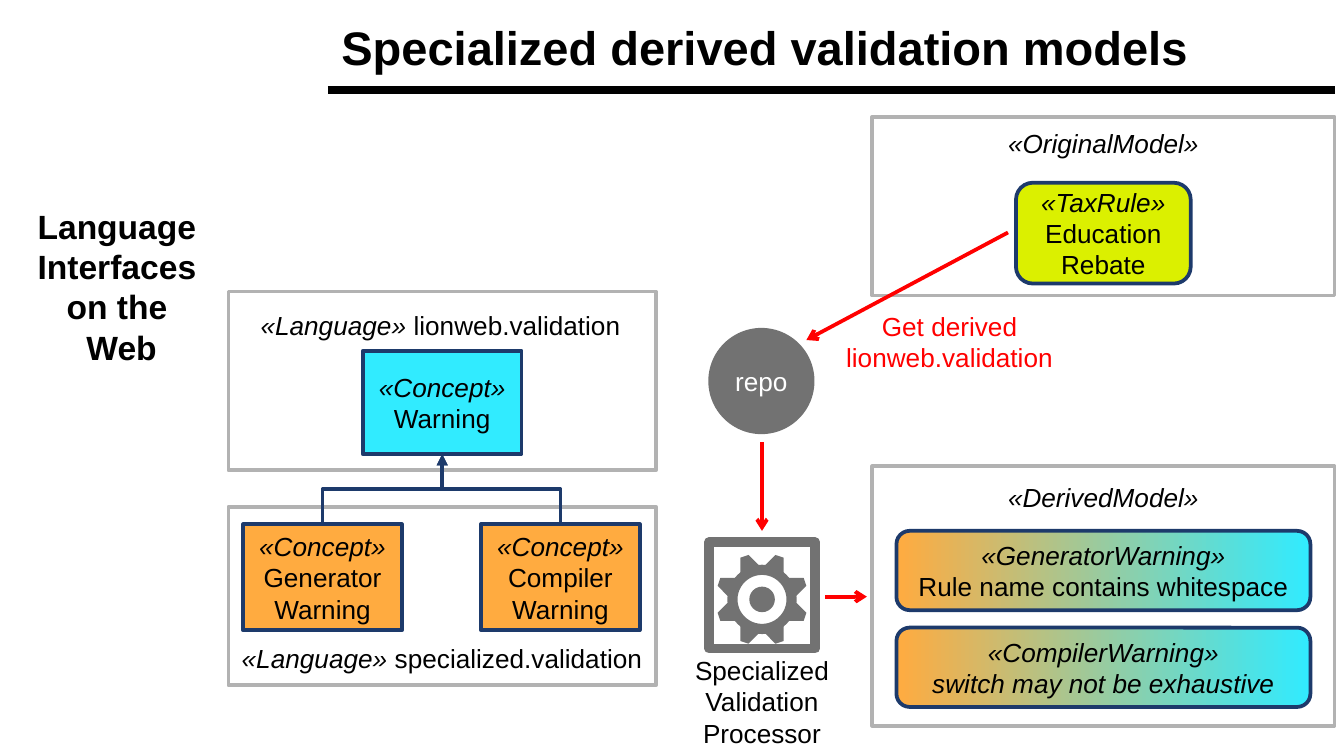
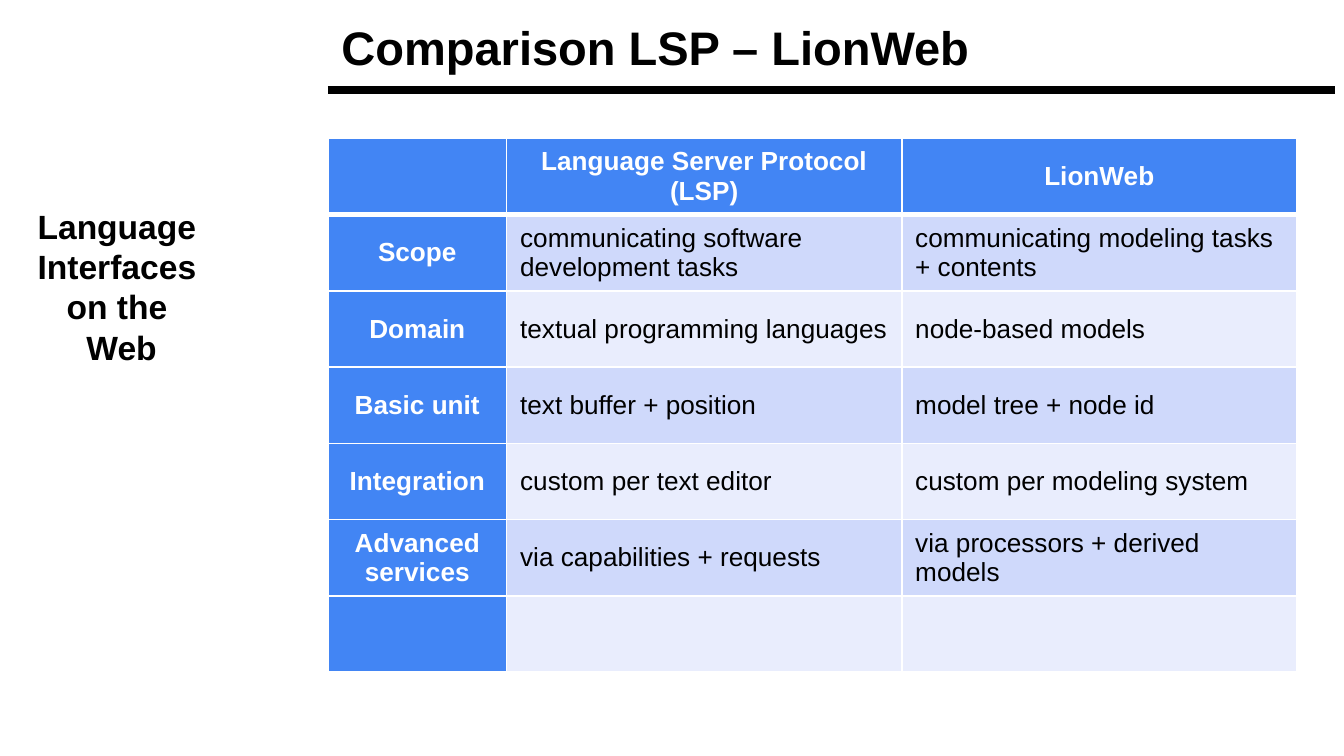
import itertools
import pptx
import pptx.util
import pptx.dml.color
import pptx.enum.shapes
import pptx.enum.text
import pptx.oxml
import pptx.oxml.ns
import lxml.etree

Inches, Pt, qn = pptx.util.Inches, pptx.util.Pt, pptx.oxml.ns.qn
SHAPE = pptx.enum.shapes.MSO_SHAPE
CONNECTOR = pptx.enum.shapes.MSO_CONNECTOR
ALIGN = pptx.enum.text.PP_ALIGN
ANCHOR = pptx.enum.text.MSO_ANCHOR

# Shared look
W, H = 10, 5.625
FONT = "Arial"
BLACK, WHITE, RED, GRAY = "000000", "FFFFFF", "FF0000", "727272"
FRAME, NAVY = "B2B2B2", "1D3A6B"
CYAN, ORANGE, LIME = "31EBFF", "FFAB40", "DBF000"
HEAD, BANDS = "4285F4", ("CFD9FB", "E9EDFD")
LEFT, RIGHT, RULE_Y = 2.44, 9.93, 0.67
SIDE_LABEL = ["Language ", "Interfaces ", "on the ", "Web"]

# Slide 1 content; text between asterisks is italic
TITLE_MODELS = "Specialized derived validation models"
FRAMES = [  # left, top, width, height
    (1.7, 2.17, 3.18, 1.33), (1.7, 3.77, 3.18, 1.33),
    (6.49, 3.47, 3.44, 1.93), (6.49, 0.87, 3.44, 1.33),
]
LABELS = [  # left, top, width, height, paragraphs, colour, alignment
    (1.84, 2.25, 2.89, 0.34, ["*«Language» *lionweb.validation"], BLACK, ALIGN.LEFT),
    (1.7, 4.73, 3.19, 0.34, ["*«Language» *specialized.validation"], BLACK, ALIGN.LEFT),
    (6.49, 3.53, 3.44, 0.34, ["*«DerivedModel»*"], BLACK, ALIGN.CENTER),
    (6.49, 0.9, 3.44, 0.34, ["*«OriginalModel»*"], BLACK, ALIGN.CENTER),
    (6.19, 2.26, 1.75, 0.57, ["Get derived", "lionweb.validation"], RED, ALIGN.CENTER),
    (5.07, 4.82, 1.2, 0.8, ["Specialized", "Validation", "Processor"], BLACK, ALIGN.CENTER),
]
RECT, ROUND = SHAPE.RECTANGLE, SHAPE.ROUNDED_RECTANGLE
PARENT = (2.7, 2.61, 1.18, 0.77)
CHILDREN = [(x, 3.9, 1.18, 0.79) for x in (1.81, 3.58)]
WARNINGS = [(6.67, y, 3.08, 0.59) for y in (3.95, 4.67)]
NODES = [  # shape, box, fill (a pair is a gradient), paragraphs
    (RECT, PARENT, CYAN, ["*«Concept»*", "Warning"]),
    (RECT, CHILDREN[0], ORANGE, ["*«Concept»*", "Generator Warning"]),
    (RECT, CHILDREN[1], ORANGE, ["*«Concept»*", "Compiler Warning"]),
    (ROUND, WARNINGS[0], (ORANGE, CYAN),
     ["*«GeneratorWarning»*", "Rule name contains whitespace"]),
    (ROUND, WARNINGS[1], (ORANGE, CYAN),
     ["*«CompilerWarning»*", "*switch may not be exhaustive*"]),
    (ROUND, (7.56, 1.36, 1.3, 0.75), LIME, ["*«TaxRule»*", "Education Rebate"]),
]
REPO = (5.27, 2.44, 0.79, 0.79)
FLOWS = [(7.5, 1.73, 6, 2.53), (5.67, 3.29, 5.67, 3.95), (6.14, 4.44, 6.45, 4.44)]
GEAR = (5.67, 4.46)
TOOTH = [(0.16, 0.31), (0.10, 0.33), (0.02, 0.25), (0.16, 0.19)]

# Slide 2 content
TITLE_TABLE = "Comparison LSP – LionWeb"
COLS, ROW_H = (1.33, 2.94, 2.94), 0.567
ROWS = [
    ("", "Language Server Protocol (LSP)", "LionWeb"),
    ("Scope", "communicating software development tasks",
     "communicating modeling tasks + contents"),
    ("Domain", "textual programming languages", "node-based models"),
    ("Basic unit", "text buffer + position", "model tree + node id"),
    ("Integration", "custom per text editor", "custom per modeling system"),
    ("Advanced services", "via capabilities + requests", "via processors + derived models"),
    ("", "", ""),
]


def rgb(value):
    return pptx.dml.color.RGBColor.from_string(value)


def inches(*values):
    return [Inches(v) for v in values]


def write(tf, paragraphs, size=14, color=BLACK, bold=False, align=ALIGN.CENTER, **frame):
    for name, value in frame.items():
        setattr(tf, name, value)
    for i, text in enumerate(paragraphs):
        p = tf.paragraphs[0] if i == 0 else tf.add_paragraph()
        p.alignment, p.line_spacing = align, 1.0
        for k, part in enumerate(text.split("*")):
            if not part:
                continue
            r = p.add_run()
            r.text = part
            look = {"name": FONT, "size": Pt(size), "bold": bold, "italic": k % 2 == 1}
            for name, value in look.items():
                setattr(r.font, name, value)
            r.font.color.rgb = rgb(color)


def margins(value):
    return {f"margin_{side}": Inches(value) for side in ("left", "top", "right", "bottom")}


def paint(sp, fill=None, line=None, width=2):
    sp.shadow.inherit = False
    if fill is None:
        sp.fill.background()
    elif isinstance(fill, tuple):
        sp.fill.gradient()
        sp.fill.gradient_angle = 0
        for stop, color in zip(sp.fill.gradient_stops, fill):
            stop.color.rgb = rgb(color)
    else:
        sp.fill.solid()
        sp.fill.fore_color.rgb = rgb(fill)
    if line is None:
        sp.line.fill.background()
    else:
        sp.line.color.rgb = rgb(line)
        sp.line.width = Pt(width)
    return sp


def add_box(shapes, kind, box, **look):
    return paint(shapes.add_shape(kind, *inches(*box)), **look)


def add_label(slide, box, paragraphs, wrap=False, **look):
    sp = slide.shapes.add_textbox(*inches(*box))
    write(sp.text_frame, paragraphs, word_wrap=wrap, **look)


def add_line(slide, ends, color, width=2, head=None, kind=CONNECTOR.STRAIGHT):
    c = slide.shapes.add_connector(kind, *inches(*ends))
    c.line.color.rgb = rgb(color)
    c.line.width = Pt(width)
    sp_pr = c._element.spPr
    if head:
        lxml.etree.SubElement(sp_pr.find(qn("a:ln")), qn("a:tailEnd"), type=head)
    lxml.etree.SubElement(sp_pr, qn("a:effectLst"))
    return c


def add_riser(slide, start, end):
    """Elbow that leaves and arrives vertically: a turned horizontal elbow."""
    (x1, y1), (x2, y2) = start, end
    cx, cy = (x1 + x2) / 2, (y1 + y2) / 2
    half_w, half_h = (y1 - y2) / 2, abs(x2 - x1) / 2
    side = 1 if x1 < x2 else -1
    c = add_line(slide, (cx + side * half_w, cy + half_h, cx - side * half_w, cy - half_h),
                 NAVY, head="triangle", kind=CONNECTOR.ELBOW)
    turn = 90 if side == 1 else 270
    c._element.spPr.find(qn("a:xfrm")).set("rot", str(turn * 60000))


def add_gear(slide):
    shapes = slide.shapes.add_group_shape().shapes
    cx, cy = GEAR

    def centred(kind, size, dy=0, **look):
        add_box(shapes, kind, (cx - size / 2, cy + dy - size / 2, size, size), **look)

    centred(RECT, 0.79, dy=-0.03, fill=WHITE, line=GRAY, width=5.25)
    centred(SHAPE.OVAL, 0.44, line=GRAY, width=5.44)
    centred(SHAPE.OVAL, 0.19, fill=GRAY)
    # One tooth mirrored over both axes and the diagonal
    for sx, sy, swap in itertools.product((-1, 1), (-1, 1), (False, True)):
        turned = [(y, x) if swap else (x, y) for x, y in TOOTH]
        points = [inches(cx + sx * x, cy + sy * y) for x, y in turned]
        fb = shapes.build_freeform(*points[0], scale=1.0)
        fb.add_line_segments(points[1:], close=True)
        paint(fb.convert_to_shape(), fill=GRAY)


def add_slide(title):
    slide = prs.slides.add_slide(prs.slide_layouts[5])
    add_line(slide, (LEFT, RULE_Y, RIGHT, RULE_Y), BLACK, 4)
    add_label(slide, (0.17, 1.43, 1.47, 1.41), SIDE_LABEL, wrap=True, size=18, bold=True,
              **margins(0.1))
    sp = slide.shapes.title
    sp.left, sp.top, sp.width, sp.height = inches(LEFT, 0.03, 7.48, 0.63)
    write(sp.text_frame, [title], size=25.2, bold=True, align=ALIGN.LEFT,
          word_wrap=True, auto_size=pptx.enum.text.MSO_AUTO_SIZE.NONE,
          vertical_anchor=ANCHOR.MIDDLE, **margins(0.1))
    return slide


def border(cell, bottom):
    tc_pr = cell._tc.get_or_add_tcPr()
    for side, width in (("L", 1), ("R", 1), ("T", 1), ("B", bottom)):
        ln = lxml.etree.SubElement(tc_pr, qn(f"a:ln{side}"), w=str(Pt(width)))
        solid = lxml.etree.SubElement(ln, qn("a:solidFill"))
        lxml.etree.SubElement(solid, qn("a:srgbClr"), val=WHITE)


prs = pptx.Presentation()
prs.slide_width, prs.slide_height = inches(W, H)

# Slide 1: languages on the left, models on the right, processing between
slide = add_slide(TITLE_MODELS)
for box in FRAMES:
    add_box(slide.shapes, RECT, box, fill=WHITE, line=FRAME)
for *box, paragraphs, color, align in LABELS:
    add_label(slide, box, paragraphs, color=color, align=align)
for kind, box, fill, paragraphs in NODES:
    sp = add_box(slide.shapes, kind, box, fill=fill, line=NAVY)
    write(sp.text_frame, paragraphs, word_wrap=True, vertical_anchor=ANCHOR.MIDDLE)
sp = add_box(slide.shapes, SHAPE.OVAL, REPO, fill=GRAY)
write(sp.text_frame, ["repo"], color=WHITE, vertical_anchor=ANCHOR.MIDDLE, **margins(0))

# Inheritance and data flow
x, y, w, h = PARENT
for child in CHILDREN:
    add_riser(slide, (child[0] + child[2] / 2, child[1]), (x + w / 2, y + h))
for ends in FLOWS:
    add_line(slide, ends, RED, head="arrow")
add_gear(slide)

# Slide 2: comparison table
slide = add_slide(TITLE_TABLE)
table = slide.shapes.add_table(
    len(ROWS), len(COLS), *inches(LEFT, 1.03, sum(COLS), ROW_H * len(ROWS))).table
for col, width in zip(table.columns, COLS):
    col.width = Inches(width)
for i, row in enumerate(ROWS):
    table.rows[i].height = Inches(ROW_H)
    for j, text in enumerate(row):
        cell = table.cell(i, j)
        head = i == 0 or j == 0
        border(cell, bottom=3 if i == 0 else 1)
        cell.fill.solid()
        cell.fill.fore_color.rgb = rgb(HEAD if head else BANDS[(i - 1) % 2])
        cell.vertical_anchor = ANCHOR.MIDDLE
        write(cell.text_frame, [text], color=WHITE if head else BLACK, bold=head,
              align=ALIGN.CENTER if head else ALIGN.LEFT)

prs.save("out.pptx")
